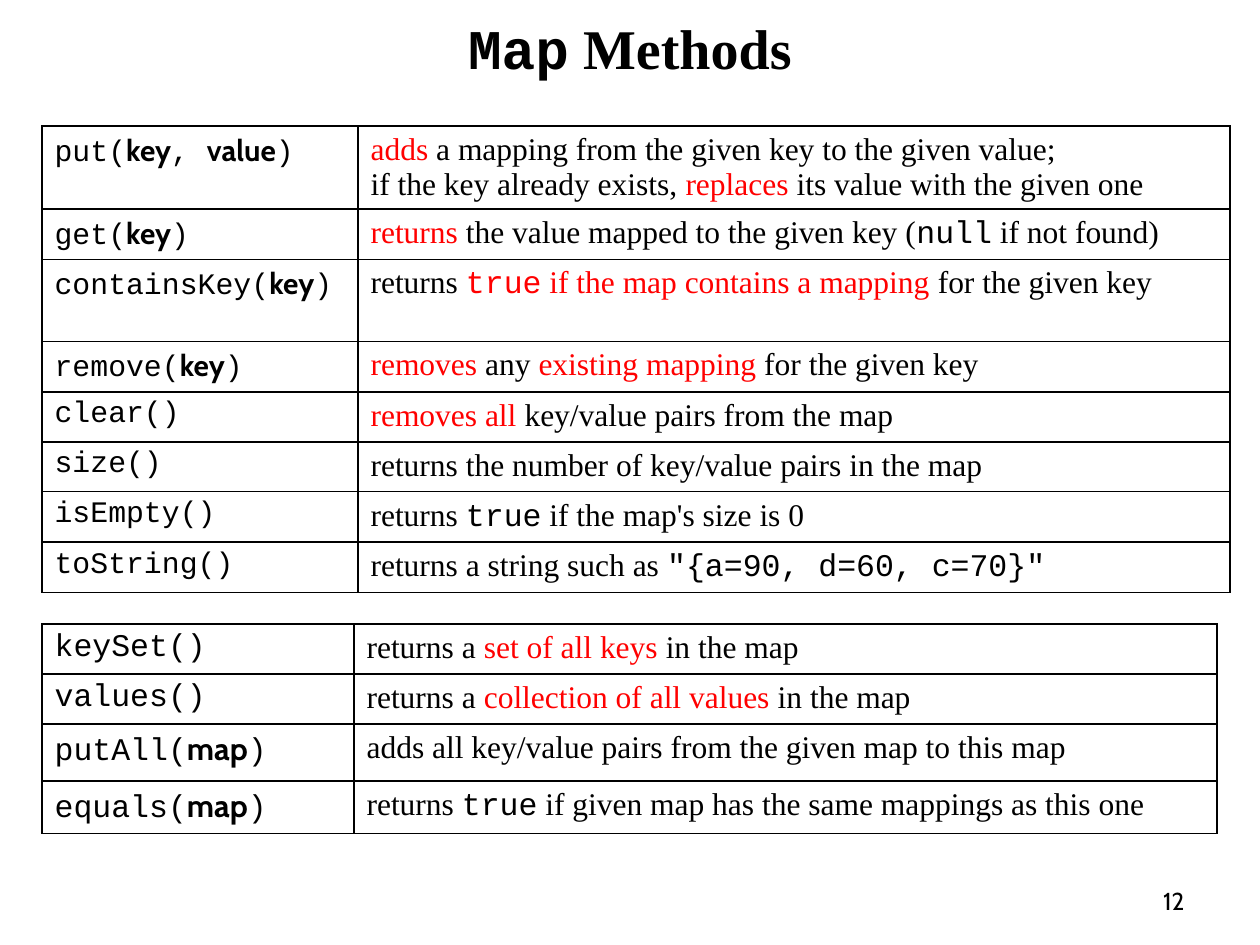
import pptx
import pptx.dml.color
import pptx.enum.text
import pptx.oxml
import pptx.oxml.ns
import pptx.util

PX = 914400 // 126
BLACK = pptx.dml.color.RGBColor(0, 0, 0)
RED = pptx.dml.color.RGBColor(255, 0, 0)
MONO, SERIF, SANS = "Courier New", "Times New Roman", "Cabin"

# Run styles: font name, bold, colour
STYLES = {
    "code": {"name": MONO, "bold": False, "color": BLACK},
    "arg": {"name": SANS, "bold": True, "color": BLACK},
    "text": {"name": SERIF, "bold": False, "color": BLACK},
    "red": {"name": SERIF, "bold": False, "color": RED},
    "redcode": {"name": MONO, "bold": False, "color": RED},
    "titlecode": {"name": MONO, "bold": True, "color": BLACK},
    "title": {"name": SERIF, "bold": True, "color": BLACK},
    "number": {"name": SANS, "bold": False, "color": BLACK},
}


def add_runs(p, runs, size):
    for style, text in runs:
        if text == "\n":
            p.add_line_break()
            continue
        r = p.add_run()
        r.text = text
        r.font.size = pptx.util.Pt(size)
        for key, value in STYLES[style].items():
            if key == "color":
                r.font.color.rgb = value
            else:
                setattr(r.font, key, value)


def add_borders(cell):
    tcPr = cell._tc.get_or_add_tcPr()
    for i, side in enumerate("LRTB"):
        tcPr.insert(i, pptx.oxml.parse_xml(
            f'<a:ln{side} {pptx.oxml.ns.nsdecls("a")} w="12700"><a:solidFill>'
            f'<a:srgbClr val="{BLACK}"/></a:solidFill></a:ln{side}>'))


# Each row: height, method runs, description runs
BASIC_METHODS = [
    (83, [("code", "put("), ("arg", "key"), ("code", ", "), ("arg", "value"), ("code", ")")],
     [("red", "adds"), ("text", " a mapping from the given key to the given value;"),
      ("text", "\n"), ("text", "if the key already exists, "), ("red", "replaces"),
      ("text", " its value with the given one")]),
    (48, [("code", "get("), ("arg", "key"), ("code", ")")],
     [("red", "returns"), ("text", " the value mapped to the given key ("),
      ("code", "null"), ("text", " if not found)")]),
    (82, [("code", "containsKey("), ("arg", "key"), ("code", ")")],
     [("text", "returns "), ("redcode", "true"),
      ("red", " if the map contains a mapping "), ("text", "for the given key")]),
    (48, [("code", "remove("), ("arg", "key"), ("code", ")")],
     [("red", "removes"), ("text", " any "), ("red", "existing mapping "),
      ("text", "for the given key")]),
    (50, [("code", "clear()")],
     [("red", "removes all"), ("text", " key/value pairs from the map")]),
    (50, [("code", "size()")],
     [("text", "returns the number of key/value pairs in the map")]),
    (48, [("code", "isEmpty()")],
     [("text", "returns "), ("code", "true"), ("text", " if the map's size is 0")]),
    (48, [("code", "toString()")],
     [("text", "returns a string such as "), ("code", '"{a=90, d=60, c=70}"')]),
]
COLLECTION_METHODS = [
    (50, [("code", "keySet()")],
     [("text", "returns a "), ("red", "set of all keys "), ("text", "in the map")]),
    (50, [("code", "values()")],
     [("text", "returns a "), ("red", "collection of all values"), ("text", " in the map")]),
    (57, [("code", "putAll("), ("arg", "map"), ("code", ")")],
     [("text", "adds all key/value pairs from the given map to this map")]),
    (50, [("code", "equals("), ("arg", "map"), ("code", ")")],
     [("text", "returns "), ("code", "true"),
      ("text", " if given map has the same mappings as this one")]),
]

prs = pptx.Presentation()
prs.slide_width, prs.slide_height = pptx.util.Inches(10), pptx.util.Inches(7.5)
s = prs.slides.add_slide(prs.slide_layouts[5])

# Title
sp = s.shapes.title
for key, value in {"left": 63, "top": 0, "width": 1134, "height": 95}.items():
    setattr(sp, key, value * PX)
tf = sp.text_frame
tf.vertical_anchor = pptx.enum.text.MSO_ANCHOR.MIDDLE
p = tf.paragraphs[0]
p.alignment = pptx.enum.text.PP_ALIGN.CENTER
add_runs(p, [("titlecode", "Map"), ("title", " Methods")], 32)

# Method tables: top, column widths, size of method names, rows
for top, widths, method_size, rows in [
    (126, (316, 872), 17, BASIC_METHODS),
    (624, (312, 863), 18, COLLECTION_METHODS),
]:
    height = sum(row[0] for row in rows)
    table = s.shapes.add_table(len(rows), 2, 42 * PX, top * PX,
                               sum(widths) * PX, height * PX).table
    table.first_row = table.horz_banding = False
    for column, width in zip(table.columns, widths):
        column.width = width * PX
    for i, (row_height, *contents) in enumerate(rows):
        table.rows[i].height = row_height * PX
        for j, (runs, size) in enumerate(zip(contents, (method_size, 18))):
            cell = table.cell(i, j)
            cell.fill.background()
            add_borders(cell)
            add_runs(cell.text_frame.paragraphs[0], runs, size)

# Slide number
sp = s.shapes.add_textbox(903 * PX, 876 * PX, 294 * PX, 50 * PX)
tf = sp.text_frame
tf.word_wrap = True
tf.vertical_anchor = pptx.enum.text.MSO_ANCHOR.MIDDLE
p = tf.paragraphs[0]
p.alignment = pptx.enum.text.PP_ALIGN.RIGHT
add_runs(p, [("number", "12")], 14)

prs.save("out.pptx")
